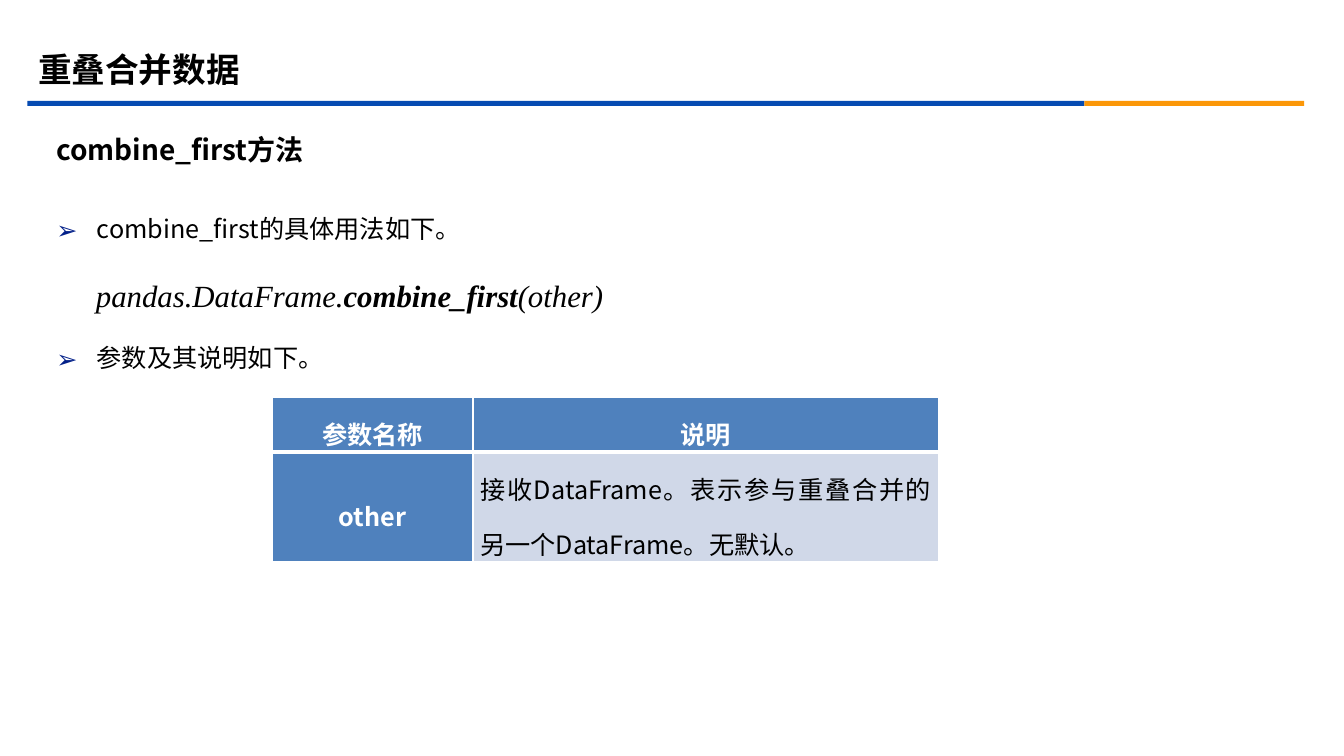
from pptx import Presentation
from pptx.dml.color import RGBColor
from pptx.enum.shapes import MSO_SHAPE
from pptx.enum.text import MSO_ANCHOR, PP_ALIGN
from pptx.oxml.ns import qn
from pptx.util import Cm, Pt
from lxml.etree import SubElement

COLORS = {
    "blue": "064BB2",
    "orange": "FB9708",
    "bullet": "032089",
    "black": "000000",
    "white": "FFFFFF",
    "header": "4F81BD",
    "band": "D0D8E8",
}
SANS = "Noto Sans CJK SC"
SERIF = "Times New Roman"


def color(name):
    return RGBColor.from_string(COLORS[name])


def style(paragraph, size, name=SANS, ink="black", bold=False, italic=False):
    font = paragraph.font
    font.size, font.name = Pt(size), name
    font.bold, font.italic = bold, italic
    font.color.rgb = color(ink)
    # East Asian typeface
    defaults = paragraph._p.pPr.find(qn("a:defRPr"))
    SubElement(defaults, qn("a:ea"), typeface=name)


def indent(paragraph, left, first=0.0, bullet=None):
    properties = paragraph._p.get_or_add_pPr()
    properties.set("marL", str(Cm(left)))
    properties.set("indent", str(Cm(first)))
    if bullet:
        tint = SubElement(properties, qn("a:buClr"))
        SubElement(tint, qn("a:srgbClr"), val=COLORS["bullet"])
        SubElement(properties, qn("a:buFont"), typeface=SANS)
        SubElement(properties, qn("a:buChar"), char=bullet)


def add_bar(slide, left, width, fill):
    bar = slide.shapes.add_shape(
        MSO_SHAPE.RECTANGLE, Cm(left), Cm(2.54), Cm(width), Cm(0.13))
    bar.shadow.inherit = False
    bar.fill.solid()
    bar.fill.fore_color.rgb = color(fill)
    bar.line.fill.background()


def add_text_frame(slide, left, top, width, height, anchor=MSO_ANCHOR.MIDDLE):
    frame = slide.shapes.add_textbox(
        Cm(left), Cm(top), Cm(width), Cm(height)).text_frame
    frame.word_wrap = True
    frame.vertical_anchor = anchor
    return frame


def add_heading(slide, text, size, left, top, width, height, before=0):
    heading = add_text_frame(slide, left, top, width, height).paragraphs[0]
    heading.text = text
    heading.space_before = Pt(before)
    style(heading, size, bold=True)


def add_usage(slide):
    frame = add_text_frame(slide, 1.17, 4.88, 30.86, 12.14, MSO_ANCHOR.TOP)
    intro, signature, parameters = (
        frame.paragraphs[0], frame.add_paragraph(), frame.add_paragraph())
    for point, text in ((intro, "combine_first的具体用法如下。"),
                        (parameters, "参数及其说明如下。")):
        point.text = text
        indent(point, 1.02, -1.02, "➢")
        style(point, 18)

    # Method signature, with the method name in bold
    for text in ("pandas.DataFrame.", "combine_first", "(other)"):
        part = signature.add_run()
        part.text = text
        part.font.bold = text == "combine_first"
    indent(signature, 1)
    style(signature, 22, SERIF, italic=True)

    for paragraph in frame.paragraphs:
        paragraph.line_spacing = 1.5
        paragraph.space_before = Pt(10)


def add_border(cell, edge, width):
    border = SubElement(cell._tc.get_or_add_tcPr(), qn(edge), w=str(Pt(width)))
    fill = SubElement(border, qn("a:solidFill"))
    SubElement(fill, qn("a:srgbClr"), val=COLORS["white"])


def fill_cell(cell, text, is_label):
    cell.fill.solid()
    cell.fill.fore_color.rgb = color("header" if is_label else "band")
    cell.vertical_anchor = MSO_ANCHOR.MIDDLE
    cell.margin_left = cell.margin_right = Cm(0.18)
    cell.margin_top = cell.margin_bottom = 0
    paragraph = cell.text_frame.paragraphs[0]
    paragraph.text = text
    paragraph.alignment = PP_ALIGN.CENTER if is_label else PP_ALIGN.JUSTIFY
    paragraph.line_spacing = 1.5
    style(paragraph, 18, ink="white" if is_label else "black", bold=is_label)


def add_parameter_table(slide, rows):
    widths = (5.06, 11.73)
    heights = (1.38, 2.75)
    table = slide.shapes.add_table(
        len(rows), len(widths), Cm(6.86), Cm(10.01),
        Cm(sum(widths)), Cm(sum(heights))).table
    table.first_col = True
    table.horz_banding = False
    for column, width in zip(table.columns, widths):
        column.width = Cm(width)
    for r, (row, height) in enumerate(zip(rows, heights)):
        table.rows[r].height = Cm(height)
        for c, text in enumerate(row):
            cell = table.cell(r, c)
            # Thick rule between header and body
            add_border(cell, "a:lnT" if r else "a:lnB", 3)
            fill_cell(cell, text, is_label=r == 0 or c == 0)


def main():
    presentation = Presentation()
    presentation.slide_width = Cm(33.87)
    presentation.slide_height = Cm(19.05)
    slide = presentation.slides.add_slide(presentation.slide_layouts[6])

    # Title and two-colour rule
    add_bar(slide, 0.69, 26.64, "blue")
    add_bar(slide, 27.33, 5.54, "orange")
    add_heading(slide, "重叠合并数据", 24, 0.71, 1.01, 30.48, 1.47)

    # Method and its usage
    add_heading(slide, "combine_first方法", 20, 1.17, 3.17, 30.86, 1.19, before=4)
    add_usage(slide)

    # Parameters
    add_parameter_table(slide, (
        ("参数名称", "说明"),
        ("other", "接收DataFrame。表示参与重叠合并的另一个DataFrame。无默认。"),
    ))

    presentation.save("out.pptx")


if __name__ == "__main__":
    main()
